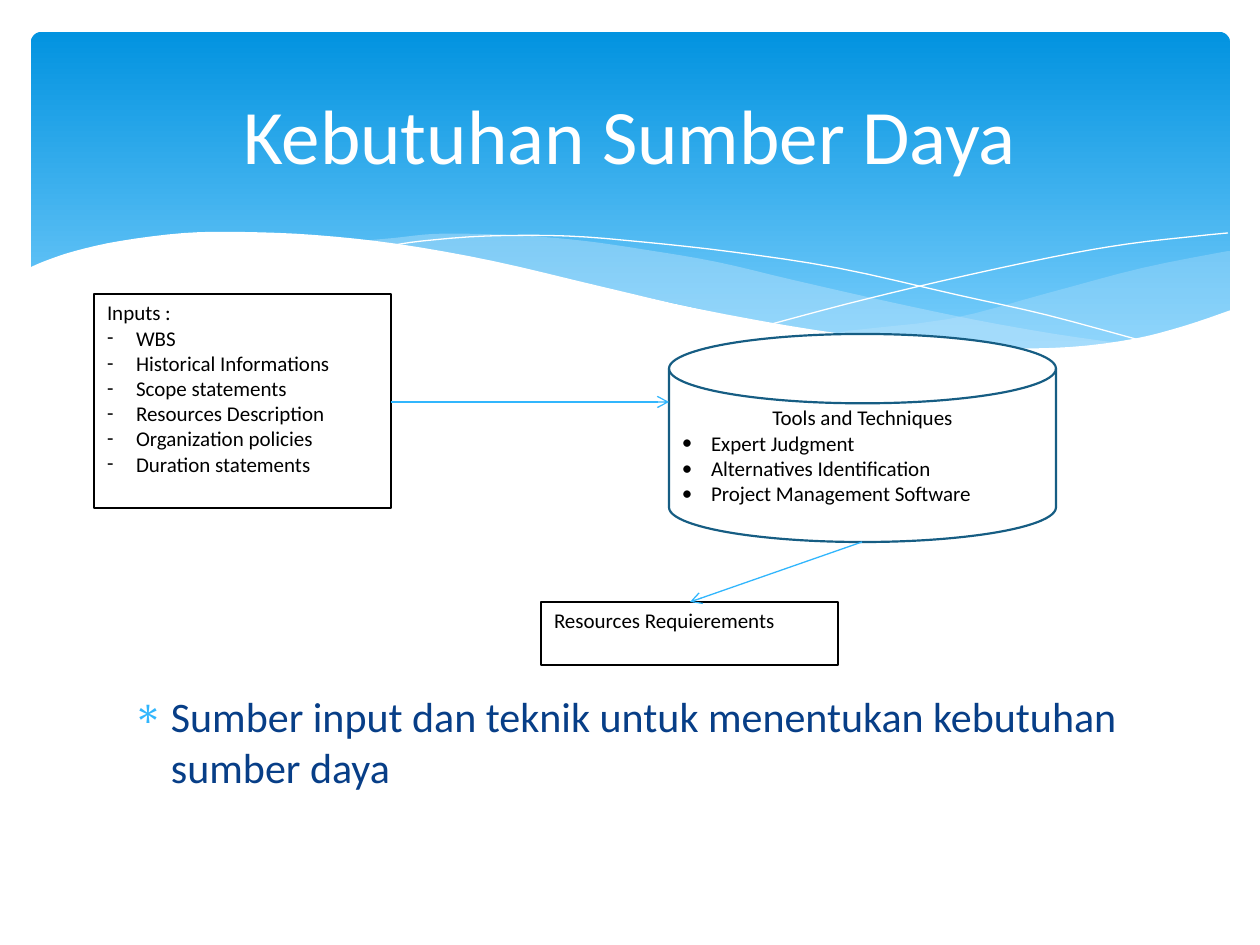
import pptx
import pptx.dml.color
import pptx.enum.shapes
import pptx.enum.text
import pptx.oxml.ns
import pptx.util
from lxml import etree

RGB = pptx.dml.color.RGBColor
WHITE = RGB(0xFF, 0xFF, 0xFF)
BLACK = RGB(0x00, 0x00, 0x00)
BANNER_TOP = RGB(0x02, 0x93, 0xE0)
BANNER_BOTTOM = RGB(0x83, 0xD3, 0xFE)
PALE_WAVE = RGB(0xC6, 0xE7, 0xFC)
SKY = RGB(0x31, 0xB6, 0xFD)
NAVY = RGB(0x07, 0x3E, 0x87)
DISK_EDGE = RGB(0x16, 0x5D, 0x83)

SHAPE = pptx.enum.shapes.MSO_SHAPE
ALIGN = pptx.enum.text.PP_ALIGN
ANCHOR = pptx.enum.text.MSO_ANCHOR
FONT = "Calibri"
PX_PER_INCH = 126
CURVE_STEPS = 4

# Wave outlines, in px from the corner of the banner
RIGHT_WAVE = [(1197, 219), (1111, 236), (1017, 261), (918, 287), (802, 302),
              (891, 313), (967, 318), (1033, 317), (1089, 313), (1138, 303),
              (1182, 285), (1198, 279)]
MIDDLE_WAVE_TOP = [(329, 209), (363, 206), (402, 202), (448, 202), (498, 204),
                   (554, 209), (616, 218), (686, 230), (762, 248), (859, 270),
                   (945, 288), (1024, 302), (1094, 312)]
MIDDLE_WAVE_BOTTOM = [(1094, 312), (1038, 316), (972, 318), (888, 314),
                      (807, 303), (726, 289), (637, 270), (535, 248),
                      (452, 229), (352, 212), (329, 209)]
FALLING_LINE = [(358, 214), (391, 209), (456, 204), (536, 204), (612, 210),
                (702, 220), (807, 236), (927, 263), (1016, 283), (1112, 309)]
RISING_LINE = [(741, 292), (816, 272), (911, 249), (1022, 225), (1097, 212),
               (1167, 204), (1197, 201)]
WHITE_WAVE = [(-2, 236), (14, 229), (44, 219), (89, 209), (153, 201),
              (212, 200), (284, 203), (367, 212), (462, 229), (568, 254),
              (668, 277), (784, 298), (884, 310), (968, 316), (1039, 315),
              (1102, 307), (1153, 294), (1200, 278)]


def px(length):
    return pptx.util.Emu(round(length * 914400 / PX_PER_INCH))


def add_xml(parent, tag, **attributes):
    return etree.SubElement(parent, pptx.oxml.ns.qn(tag), attributes)


def add_bullet(para, mark, color, indent, typeface):
    properties = para._p.get_or_add_pPr()
    properties.set("marL", str(px(indent)))
    properties.set("indent", str(-px(indent)))
    add_xml(add_xml(properties, "a:buClr"), "a:srgbClr", val=str(color))
    add_xml(properties, "a:buFont", typeface=typeface)
    add_xml(properties, "a:buChar", char=mark)


def write(shape, text, size=12, color=BLACK, align=ALIGN.LEFT,
          anchor=ANCHOR.TOP, insets=(13, 6), bullet=None, bullet_color=BLACK,
          bullet_font=FONT, indent=29, first_bulleted=False):
    """Write one paragraph per line; bullets skip the heading line by default."""
    frame = shape.text_frame
    frame.word_wrap = True
    frame.auto_size = pptx.enum.text.MSO_AUTO_SIZE.NONE
    frame.vertical_anchor = anchor
    frame.margin_left = frame.margin_right = px(insets[0])
    frame.margin_top = frame.margin_bottom = px(insets[1])
    for index, line in enumerate(text.split("\n")):
        para = frame.add_paragraph() if index else frame.paragraphs[0]
        bulleted = bullet and (index or first_bulleted)
        para.alignment = ALIGN.LEFT if bulleted else align
        if bulleted:
            add_bullet(para, bullet, bullet_color, indent, bullet_font)
        span = para.add_run()
        span.text = line
        span.font.name = FONT
        span.font.size = pptx.util.Pt(size)
        span.font.color.rgb = color


def smooth(points):
    """Catmull-Rom curve through the points."""
    padded = [points[0], *points, points[-1]]
    curve = [points[0]]
    for a, b, c, d in zip(padded, padded[1:], padded[2:], padded[3:]):
        for step in range(1, CURVE_STEPS + 1):
            t = step / CURVE_STEPS
            curve.append(tuple(
                0.5 * (2 * q + (r - p) * t + (2 * p - 5 * q + 4 * r - s) * t**2
                       + (3 * q - p - 3 * r + s) * t**3)
                for p, q, r, s in zip(a, b, c, d)))
    return curve


def add_wave(page, left, top, points, fill=None, opacity=None):
    """Filled wave, or a white hairline when no fill is given."""
    placed = [(px(left + x), px(top + y)) for x, y in points]
    builder = page.shapes.build_freeform(*placed[0], scale=1.0)
    builder.add_line_segments(placed[1:], close=fill is not None)
    wave = builder.convert_to_shape()
    wave.shadow.inherit = False
    if fill is None:
        wave.fill.background()
        wave.line.color.rgb = WHITE
        wave.line.width = pptx.util.Pt(0)
        return
    wave.line.fill.background()
    wave.fill.solid()
    wave.fill.fore_color.rgb = fill
    if opacity:
        color = wave._element.spPr.find(".//" + pptx.oxml.ns.qn("a:srgbClr"))
        add_xml(color, "a:alpha", val=str(opacity * 1000))


def add_banner(page, left, top, width, height):
    banner = page.shapes.add_shape(SHAPE.ROUNDED_RECTANGLE, px(left), px(top),
                                   px(width), px(height))
    banner.adjustments[0] = 0.03
    banner.shadow.inherit = False
    banner.line.fill.background()
    banner.fill.gradient()
    banner.fill.gradient_angle = 270
    for stop, color, position in zip(banner.fill.gradient_stops,
                                     (BANNER_TOP, BANNER_BOTTOM), (0, 1)):
        stop.color.rgb = color
        stop.position = position
    right_edge = [(width, 279), (width, 219)]
    add_wave(page, left, top, smooth(RIGHT_WAVE) + right_edge, PALE_WAVE, 29)
    middle = smooth(MIDDLE_WAVE_TOP) + smooth(MIDDLE_WAVE_BOTTOM)[1:]
    add_wave(page, left, top, middle, PALE_WAVE, 40)
    for line in (FALLING_LINE, RISING_LINE):
        add_wave(page, left, top, smooth(line))
    base = [(width + 2, 383), (-2, 383)]
    add_wave(page, left, top, smooth(WHITE_WAVE) + base, WHITE)


def add_title(page, left, top, width, height):
    title = page.shapes.title
    title.left, title.top = px(left), px(top)
    title.width, title.height = px(width), px(height)
    write(title, "Kebutuhan Sumber Daya", size=44, color=WHITE,
          align=ALIGN.CENTER, anchor=ANCHOR.MIDDLE)
    page.shapes._spTree.append(title._element)


def add_box(page, kind, left, top, width, height, text, edge=BLACK,
            weight=0.75, fill=None, **text_format):
    box = page.shapes.add_shape(kind, px(left), px(top), px(width), px(height))
    box.shadow.inherit = False
    if fill is None:
        box.fill.background()
    else:
        box.fill.solid()
        box.fill.fore_color.rgb = fill
    box.line.color.rgb = edge
    box.line.width = pptx.util.Pt(weight)
    write(box, text, **text_format)


def add_arrow(page, start, end):
    arrow = page.shapes.add_connector(
        pptx.enum.shapes.MSO_CONNECTOR.STRAIGHT, *map(px, start + end))
    arrow.line.color.rgb = SKY
    arrow.line.width = pptx.util.Pt(0.75)
    add_xml(arrow.line._get_or_add_ln(), "a:tailEnd", type="arrow")
    add_xml(arrow._element.spPr, "a:effectLst")


def add_process(page, left, top):
    """Inputs, tools and result, joined by arrows."""
    add_box(page, SHAPE.RECTANGLE, left, top, 297, 214,
            "Inputs :\nWBS\nHistorical Informations\nScope statements\n"
            "Resources Description\nOrganization policies\nDuration statements",
            bullet="-")
    add_box(page, SHAPE.RECTANGLE, left + 447, top + 308, 297, 63,
            "Resources Requierements")
    add_box(page, SHAPE.FLOWCHART_MAGNETIC_DISK, left + 575, top + 40, 387, 208,
            "Tools and Techniques\nExpert Judgment\n"
            "Alternatives Identification\nProject Management Software",
            edge=DISK_EDGE, weight=1.25, fill=WHITE, align=ALIGN.CENTER,
            anchor=ANCHOR.MIDDLE, bullet="•")
    add_arrow(page, (left + 297, top + 108), (left + 575, top + 108))
    add_arrow(page, (left + 768, top + 248), (left + 596, top + 308))


def add_summary(page, left, top, width, height):
    box = page.shapes.add_textbox(px(left), px(top), px(width), px(height))
    write(box, "Sumber input dan teknik untuk menentukan kebutuhan sumber daya",
          size=24, color=NAVY, insets=(13, 11), bullet="∗", bullet_color=SKY,
          bullet_font="Symbol", indent=38, first_bulleted=True)


def main():
    deck = pptx.Presentation()
    deck.slide_width, deck.slide_height = px(1260), px(945)
    page = deck.slides.add_slide(deck.slide_layouts.get_by_name("Title Only"))
    add_banner(page, 31, 32, 1199, 340)
    add_summary(page, 120, 680, 1020, 164)
    add_title(page, 63, 47, 1134, 173)
    add_process(page, 94, 294)
    deck.save("out.pptx")


if __name__ == "__main__":
    main()
